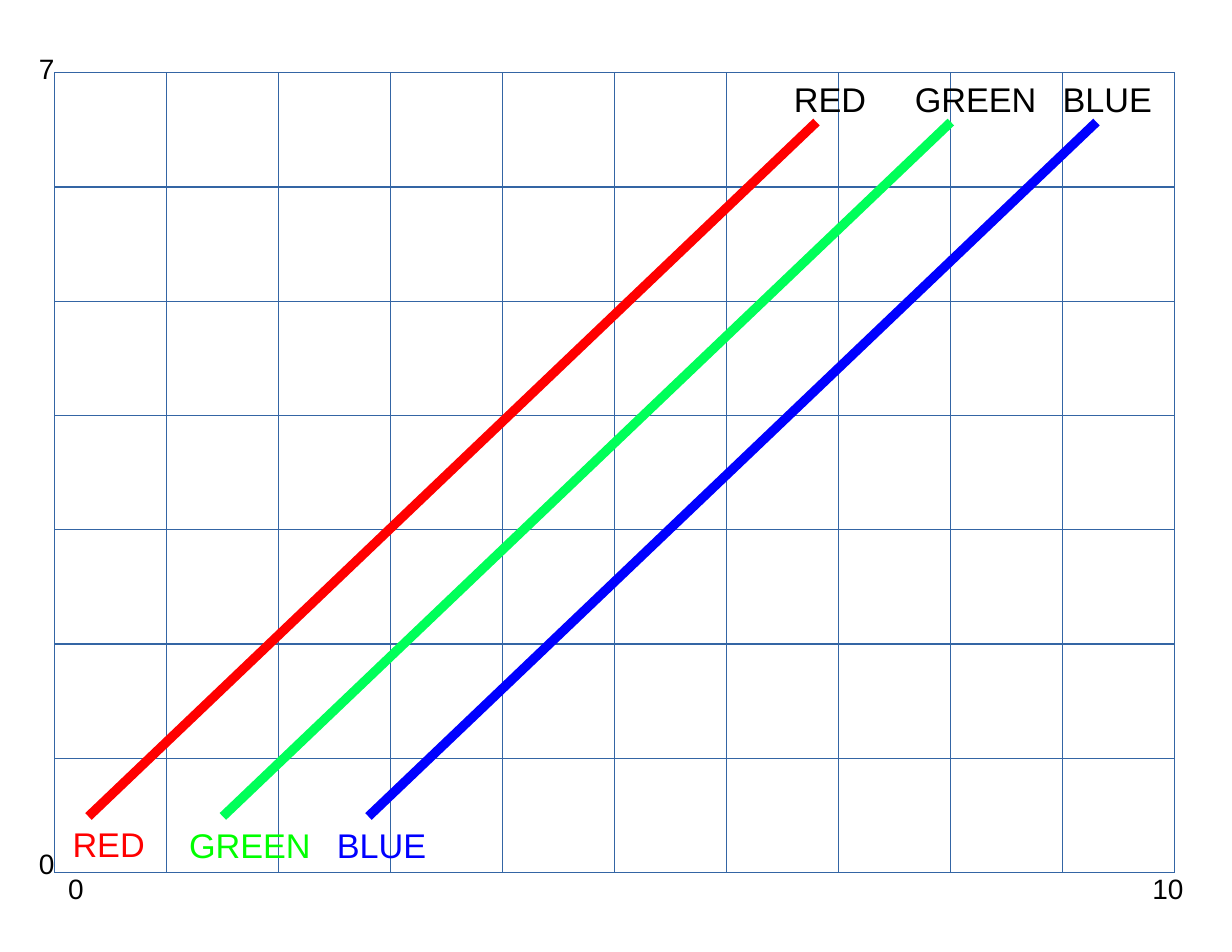
import pptx
import pptx.util
import pptx.dml.color
import pptx.enum.shapes
import pptx.enum.text
import pptx.oxml.ns
import lxml.etree

Inches = pptx.util.Inches
Pt = pptx.util.Pt
RGBColor = pptx.dml.color.RGBColor

BLACK = RGBColor(0x00, 0x00, 0x00)
GRID_BLUE = RGBColor(0x34, 0x65, 0xA4)
RED = RGBColor(0xFF, 0x00, 0x00)
GREEN = RGBColor(0x00, 0xFF, 0x00)
LINE_GREEN = RGBColor(0x00, 0xFF, 0x59)
BLUE = RGBColor(0x00, 0x00, 0xFF)

LEFT, TOP = Inches(0.49), Inches(0.65)
COLUMNS, ROWS = 10, 7
COLUMN_WIDTH, ROW_HEIGHT = Inches(1), Inches(1.02)
# Label widths that hold each name on one line
NAME_WIDTHS = {"RED": 0.86, "GREEN": 1.3, "BLUE": 1.01}

deck = pptx.Presentation()
deck.slide_width = Inches(11)
deck.slide_height = Inches(8.5)
page = deck.slides.add_slide(deck.slide_layouts[6])


def add_cell(shapes, left, top, width, height):
    cell = shapes.add_shape(
        pptx.enum.shapes.MSO_SHAPE.RECTANGLE, left, top, width, height)
    cell.shadow.inherit = False
    cell.fill.background()
    cell.line.color.rgb = GRID_BLUE
    cell.line.width = Pt(0)


def add_label(text, left, top, width, height, size, color, wrap=False):
    box = page.shapes.add_textbox(
        Inches(left), Inches(top), Inches(width), Inches(height))
    box.text_frame.word_wrap = wrap
    box.text_frame.auto_size = pptx.enum.text.MSO_AUTO_SIZE.SHAPE_TO_FIT_TEXT
    span = box.text_frame.paragraphs[0].add_run()
    span.text = text
    span.font.name = "Arial"
    span.font.size = Pt(size)
    span.font.color.rgb = color


# Grid: grouped columns, then rows from the bottom up
column_group = page.shapes.add_group_shape()
for column in range(COLUMNS):
    add_cell(column_group.shapes, LEFT + column * COLUMN_WIDTH, TOP,
             COLUMN_WIDTH, ROWS * ROW_HEIGHT)
for row in reversed(range(ROWS)):
    add_cell(page.shapes, LEFT, TOP + row * ROW_HEIGHT,
             COLUMNS * COLUMN_WIDTH, ROW_HEIGHT)

# Parallel diagonal lines
for start, color in ((0.79, RED), (1.99, LINE_GREEN), (3.29, BLUE)):
    diagonal = page.shapes.add_connector(
        pptx.enum.shapes.MSO_CONNECTOR.STRAIGHT,
        Inches(start), Inches(7.29), Inches(start + 6.5), Inches(1.09))
    diagonal.line.color.rgb = color
    diagonal.line.width = Pt(6)
    lxml.etree.SubElement(
        diagonal.element.spPr, pptx.oxml.ns.qn("a:effectLst"))

# Line names at the upper ends
for name, left in (("RED", 6.99), ("GREEN", 8.07), ("BLUE", 9.39)):
    add_label(name, left, 0.65, NAME_WIDTHS[name], 0.44, 22, BLACK)

# Axis limits
add_label("0", 0.51, 7.73, 0.34, 0.38, 18, BLACK)
add_label("10", 10.19, 7.73, 0.5, 0.66, 18, BLACK, wrap=True)
for number, top in (("0", 7.51), ("7", 0.41)):
    add_label(number, 0.25, top, 0.34, 0.38, 18, BLACK)

# Coloured line names at the lower ends
for name, left, top, color in (("RED", 0.55, 7.3, RED),
                               ("GREEN", 1.59, 7.31, GREEN),
                               ("BLUE", 2.91, 7.31, BLUE)):
    add_label(name, left, top, NAME_WIDTHS[name], 0.44, 22, color)

deck.save("out.pptx")
